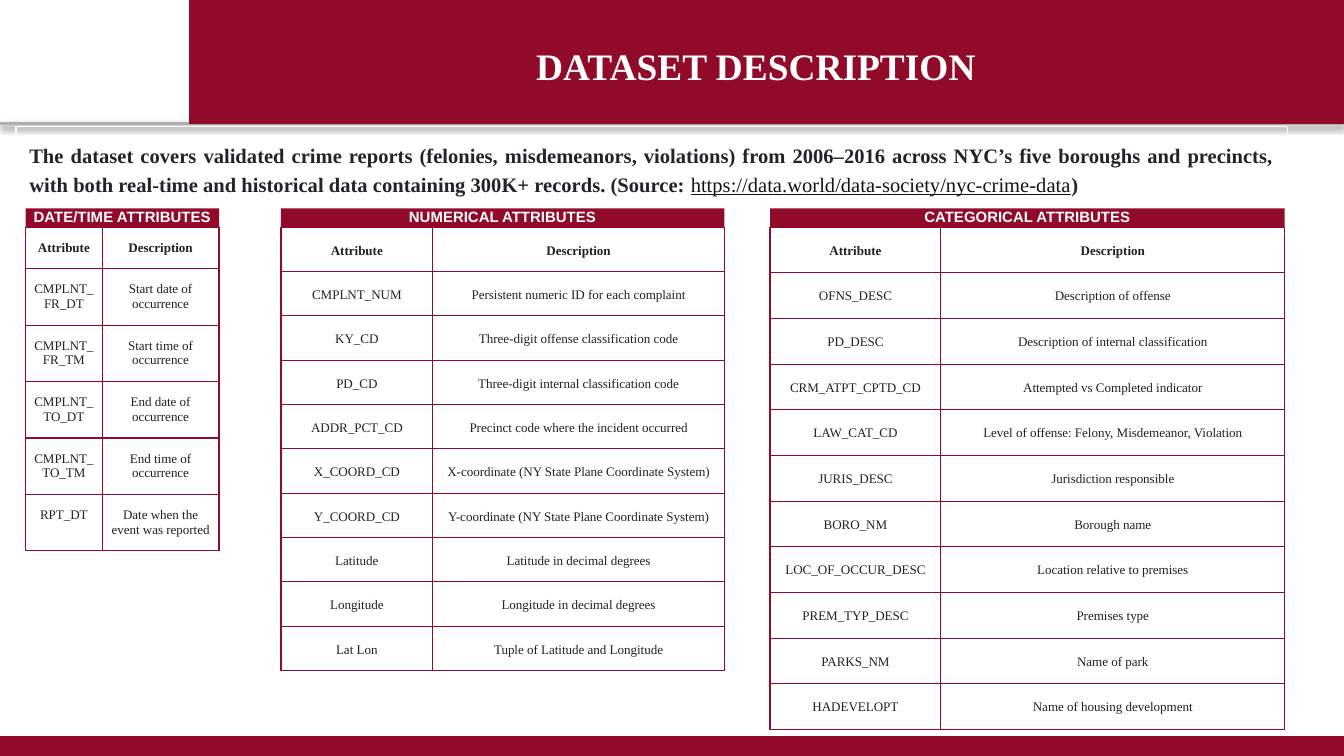
from dataclasses import dataclass

from lxml.etree import SubElement
from pptx import Presentation
from pptx.dml.color import RGBColor
from pptx.enum.shapes import MSO_CONNECTOR, MSO_SHAPE
from pptx.enum.text import MSO_ANCHOR, PP_ALIGN
from pptx.oxml.ns import qn
from pptx.util import Inches, Pt


@dataclass(frozen=True)
class Theme:
    crimson: str = "910A29"
    white: str = "FFFFFF"
    rule: str = "ADAEAE"
    cell_text: str = "222222"
    intro_text: str = "212529"
    link_text: str = "141313"
    serif: str = "Times New Roman"
    sans: str = "Arial"
    title_size: float = 20
    intro_size: float = 11
    banner_size: float = 8
    cell_size: float = 7
    line_width: float = 0.75


THEME = Theme()

DATE_TIME = [
    ("CMPLNT_FR_DT", "Start date of occurrence"),
    ("CMPLNT_FR_TM", "Start time of occurrence"),
    ("CMPLNT_TO_DT", "End date of occurrence"),
    ("CMPLNT_TO_TM", "End time of occurrence"),
    ("RPT_DT", "Date when the event was reported"),
]
NUMERICAL = [
    ("CMPLNT_NUM", "Persistent numeric ID for each complaint"),
    ("KY_CD", "Three-digit offense classification code"),
    ("PD_CD", "Three-digit internal classification code"),
    ("ADDR_PCT_CD", "Precinct code where the incident occurred"),
    ("X_COORD_CD", "X-coordinate (NY State Plane Coordinate System)"),
    ("Y_COORD_CD", "Y-coordinate (NY State Plane Coordinate System)"),
    ("Latitude", "Latitude in decimal degrees"),
    ("Longitude", "Longitude in decimal degrees"),
    ("Lat Lon", "Tuple of Latitude and Longitude"),
]
CATEGORICAL = [
    ("OFNS_DESC", "Description of offense"),
    ("PD_DESC", "Description of internal classification"),
    ("CRM_ATPT_CPTD_CD", "Attempted vs Completed indicator"),
    ("LAW_CAT_CD", "Level of offense: Felony, Misdemeanor, Violation"),
    ("JURIS_DESC", "Jurisdiction responsible"),
    ("BORO_NM", "Borough name"),
    ("LOC_OF_OCCUR_DESC", "Location relative to premises"),
    ("PREM_TYP_DESC", "Premises type"),
    ("PARKS_NM", "Name of park"),
    ("HADEVELOPT", "Name of housing development"),
]
INTRO = [
    ("The dataset covers validated crime reports (felonies, misdemeanors, violations) "
     "from 2006–2016 across NYC’s five boroughs and precincts, with both real-time and "
     "historical data containing 300K+ records. (Source: ", False),
    ("https://data.world/data-society/nyc-crime-data", True),
    (")", False),
]


def color(value):
    return RGBColor.from_string(value)


def add_box(slide, left, top, width, height, fill=None, line=None):
    shape = slide.shapes.add_shape(
        MSO_SHAPE.RECTANGLE, Inches(left), Inches(top), Inches(width), Inches(height))
    shape.shadow.inherit = False
    if fill:
        shape.fill.solid()
        shape.fill.fore_color.rgb = color(fill)
    else:
        shape.fill.background()
    if line:
        shape.line.color.rgb = color(line)
        shape.line.width = Pt(THEME.line_width)
    else:
        shape.line.fill.background()
    return shape


def set_margins(target, horizontal, top, bottom):
    target.margin_left = target.margin_right = Inches(horizontal)
    target.margin_top, target.margin_bottom = Inches(top), Inches(bottom)


def style_paragraph(paragraph, size, family, text_color, bold, spacing, align=PP_ALIGN.CENTER):
    paragraph.alignment = align
    paragraph.line_spacing = spacing
    font = paragraph.font
    font.size, font.name, font.bold = Pt(size), family, bold
    font.color.rgb = color(text_color)


def write_heading(shape, text, size, family, spacing):
    frame = shape.text_frame
    frame.word_wrap = True
    frame.vertical_anchor = MSO_ANCHOR.MIDDLE
    set_margins(frame, 0.02, 0.01, 0.01)
    paragraph = frame.paragraphs[0]
    paragraph.text = text
    style_paragraph(paragraph, size, family, THEME.white, True, spacing)


def add_shadowed_rule(slide, left, top, width):
    rule = slide.shapes.add_connector(
        MSO_CONNECTOR.STRAIGHT, Inches(left), Inches(top), Inches(left + width), Inches(top))
    rule.line.color.rgb = color(THEME.rule)
    rule.line.width = Pt(2)
    effects = SubElement(rule._element.spPr, qn("a:effectLst"))
    shadow = SubElement(effects, qn("a:outerShdw"), blurRad=str(Pt(3.1)),
                        dist=str(Pt(1.6)), dir="5400000", rotWithShape="0")
    tint = SubElement(shadow, qn("a:srgbClr"), val="000000")
    SubElement(tint, qn("a:alpha"), val="38000")


def add_header(slide, left, top, width, height):
    add_shadowed_rule(slide, left, top + height, width)
    add_box(slide, left + 1.41, top, width - 1.41, height, THEME.crimson, THEME.crimson)
    title = slide.shapes.add_textbox(
        Inches(left + 1.34), Inches(top + 0.03), Inches(8.57), Inches(0.87))
    write_heading(title, "DATASET DESCRIPTION", THEME.title_size, THEME.serif, 1.15)
    add_box(slide, left, top, 1.34, 0.87, THEME.white, THEME.white)


def add_intro(slide, left, top, width, height):
    frame = add_box(slide, left, top, width, height, line=THEME.white).text_frame
    frame.word_wrap = True
    frame.vertical_anchor = MSO_ANCHOR.TOP
    set_margins(frame, 0.1, 0.1, 0.1)
    paragraph = frame.paragraphs[0]
    style_paragraph(paragraph, THEME.intro_size, THEME.serif, THEME.intro_text, True, 1.15,
                    PP_ALIGN.JUSTIFY)
    for text, is_address in INTRO:
        run = paragraph.add_run()
        run.text = text
        run.font.bold = not is_address
        run.font.underline = is_address
        run.font.color.rgb = color(THEME.link_text if is_address else THEME.intro_text)


def style_cell(cell, text, bold, margin, spacing):
    properties = cell._tc.get_or_add_tcPr()
    for side in ("lnL", "lnR", "lnT", "lnB"):
        border = SubElement(properties, qn(f"a:{side}"), w=str(Pt(THEME.line_width)))
        fill = SubElement(border, qn("a:solidFill"))
        SubElement(fill, qn("a:srgbClr"), val=THEME.crimson)
    cell.fill.solid()
    cell.fill.fore_color.rgb = color(THEME.white)
    cell.vertical_anchor = MSO_ANCHOR.TOP
    set_margins(cell, margin, 0.1, 0.08)
    paragraph = cell.text_frame.paragraphs[0]
    paragraph.text = text
    style_paragraph(paragraph, THEME.cell_size, THEME.serif, THEME.cell_text, bold, spacing)


def add_attributes(slide, left, top, columns, heading, rows, header_height, row_height,
                   margin=0.05, spacing=1.2):
    width, banner_height = sum(columns), 0.14
    rows = [("Attribute", "Description"), *rows]
    heights = [header_height] + [row_height] * (len(rows) - 1)
    table = slide.shapes.add_table(
        len(rows), len(columns), Inches(left), Inches(top + banner_height),
        Inches(width), Inches(sum(heights))).table
    table.first_row = table.horz_banding = False
    for column, column_width in zip(table.columns, columns):
        column.width = Inches(column_width)
    for index, (texts, height) in enumerate(zip(rows, heights)):
        table.rows[index].height = Inches(height)
        for cell, text in zip(table.rows[index].cells, texts):
            style_cell(cell, text, index == 0, margin, spacing)
    banner = add_box(slide, left, top, width, banner_height, THEME.crimson)
    write_heading(banner, heading, THEME.banner_size, THEME.sans, 0.9)


def main():
    presentation = Presentation()
    presentation.slide_width = Inches(10)
    presentation.slide_height = presentation.slide_width * 9 // 16
    slide = presentation.slides.add_slide(presentation.slide_layouts[6])
    add_header(slide, 0, 0, 10, 0.92)
    add_box(slide, 0, 5.48, 10, 0.14, THEME.crimson, THEME.crimson)
    add_attributes(slide, 2.09, 1.55, (1.13, 2.17), "NUMERICAL ATTRIBUTES", NUMERICAL,
                   0.33, 0.33, margin=0.1)
    add_attributes(slide, 5.73, 1.55, (1.27, 2.56), "CATEGORICAL ATTRIBUTES", CATEGORICAL,
                   0.34, 0.34)
    add_attributes(slide, 0.19, 1.55, (0.57, 0.87), "DATE/TIME ATTRIBUTES", DATE_TIME,
                   0.31, 0.42, spacing=1.0)
    add_intro(slide, 0.12, 0.94, 9.46, 0.6)
    presentation.save("out.pptx")


if __name__ == "__main__":
    main()
